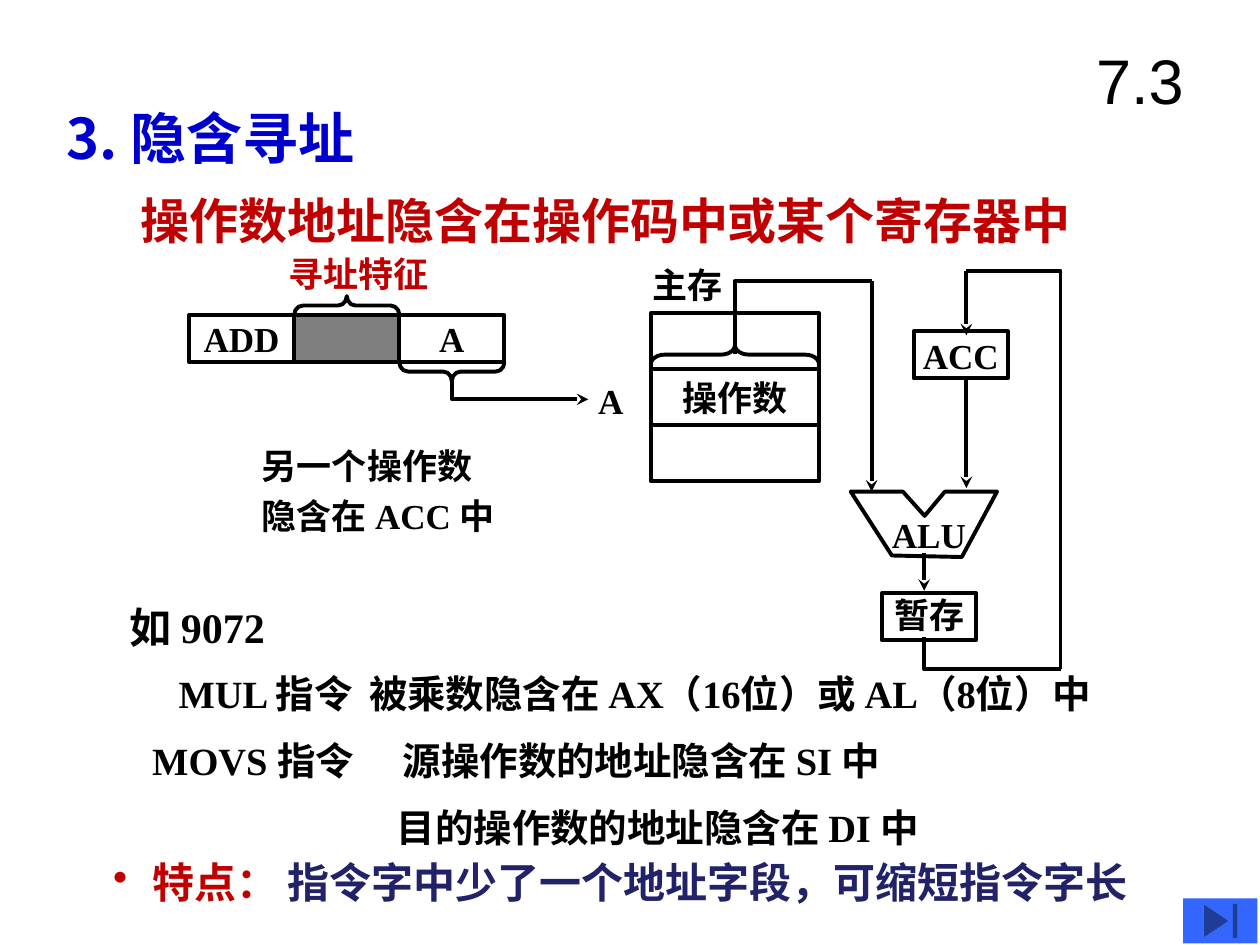
"""Build the implied addressing slide."""
from dataclasses import dataclass

from lxml import etree
from pptx import Presentation
from pptx.dml.color import RGBColor
from pptx.enum.shapes import MSO_CONNECTOR, MSO_SHAPE
from pptx.enum.text import MSO_ANCHOR, MSO_AUTO_SIZE, PP_ALIGN
from pptx.oxml.ns import qn
from pptx.util import Cm, Pt

RECT = MSO_SHAPE.RECTANGLE
BRACE = MSO_SHAPE.LEFT_BRACE
END_BUTTON = MSO_SHAPE.ACTION_BUTTON_END
STRAIGHT = MSO_CONNECTOR.STRAIGHT
MIDDLE = MSO_ANCHOR.MIDDLE
CENTER = PP_ALIGN.CENTER
FIT = MSO_AUTO_SIZE.SHAPE_TO_FIT_TEXT
FIXED = MSO_AUTO_SIZE.NONE
UP, DOWN = 90, 270


@dataclass(frozen=True)
class Theme:
    black: str = "000000"
    blue: str = "0000CC"
    red: str = "C00000"
    navy: str = "222268"
    button: str = "3366FF"
    serif: str = "Times New Roman"
    sans: str = "Arial"
    cjk: str = "Noto Sans CJK SC"
    number: int = 36
    title: int = 32
    subtitle: int = 28
    lead: int = 24
    body: int = 22
    label: int = 20
    line: float = 2.25


class Deck:
    """Holds the theme and the slide being drawn."""

    def __init__(self, theme, slide):
        self.t = theme
        self.shapes = slide.shapes

    def style_run(self, r, size, color=None, font=None, bold=True):
        r.font.size = Pt(size)
        r.font.bold = bold
        r.font.color.rgb = RGBColor.from_string(color or self.t.black)
        r.font.name = font or self.t.serif
        etree.SubElement(r.font._element, qn("a:ea"), typeface=self.t.cjk)

    def style_line(self, s, arrow=False):
        s.line.color.rgb = RGBColor.from_string(self.t.black)
        s.line.width = Pt(self.t.line)
        if arrow:
            etree.SubElement(s.line._get_or_add_ln(), qn("a:tailEnd"), type="stealth")

    def text(self, x, y, w, h, text, size, color=None, font=None, bold=True, wrap=False, spacing=None):
        s = self.shapes.add_textbox(Cm(x), Cm(y), Cm(w), Cm(h))
        tf = s.text_frame
        tf.text = text
        tf.word_wrap = wrap
        tf.auto_size = FIT
        for p in tf.paragraphs:
            if spacing:
                p.line_spacing = spacing
            for r in p.runs:
                self.style_run(r, size, color, font, bold)
        return s

    def bullet(self, x, y, w, h, parts, size, indent):
        s = self.shapes.add_textbox(Cm(x), Cm(y), Cm(w), Cm(h))
        tf = s.text_frame
        tf.word_wrap = True
        p = tf.paragraphs[0]
        pPr = p._p.get_or_add_pPr()
        pPr.set("marL", str(Cm(indent)))
        pPr.set("indent", str(-Cm(indent)))
        clr = etree.SubElement(pPr, qn("a:buClr"))
        etree.SubElement(clr, qn("a:srgbClr"), val=parts[0][1])
        etree.SubElement(pPr, qn("a:buChar"), char="•")
        for text, color, font in parts:
            r = p.add_run()
            r.text = text
            self.style_run(r, size, color, font)

    def box(self, x, y, w, h, text="", alpha=None, top=0.13):
        s = self.shapes.add_shape(RECT, Cm(x), Cm(y), Cm(w), Cm(h))
        s.shadow.inherit = False
        s.fill.background()
        if alpha:
            s.fill.solid()
            s.fill.fore_color.rgb = RGBColor.from_string(self.t.black)
            clr = s._element.spPr.find(qn("a:solidFill"))[0]
            etree.SubElement(clr, qn("a:alpha"), val=str(alpha * 1000))
        self.style_line(s)
        if text:
            tf = s.text_frame
            tf.text = text
            tf.word_wrap = False
            tf.margin_top = Cm(top)
            tf.vertical_anchor = MIDDLE
            p = tf.paragraphs[0]
            p.alignment = CENTER
            self.style_run(p.runs[0], self.t.label)

    def brace(self, x, y, length, rotation, depth=0.38):
        shift = (length - depth) / 2
        s = self.shapes.add_shape(BRACE, Cm(x + shift), Cm(y - shift), Cm(depth), Cm(length))
        s.rotation = rotation
        s.adjustments[0] = length / depth / 12
        s.shadow.inherit = False
        s.fill.background()
        self.style_line(s)

    def outline(self, points, close=False, arrow=False):
        pts = [(Cm(x), Cm(y)) for x, y in points]
        fb = self.shapes.build_freeform(*pts[0])
        fb.add_line_segments(pts[1:], close=close)
        s = fb.convert_to_shape()
        s.shadow.inherit = False
        s.fill.background()
        self.style_line(s, arrow)

    def arrow(self, x, y1, y2):
        s = self.shapes.add_connector(STRAIGHT, Cm(x), Cm(y1), Cm(x), Cm(y2))
        self.style_line(s, arrow=True)
        etree.SubElement(s._element.spPr, qn("a:effectLst"))

    def button(self, x, y, w, h):
        s = self.shapes.add_shape(END_BUTTON, Cm(x), Cm(y), Cm(w), Cm(h))
        s.shadow.inherit = False
        s.fill.solid()
        s.fill.fore_color.rgb = RGBColor.from_string(self.t.button)
        s.line.fill.background()


def main():
    prs = Presentation()
    prs.slide_width, prs.slide_height = Cm(25.4), Cm(19.05)
    t = Theme()
    d = Deck(t, prs.slides.add_slide(prs.slide_layouts[6]))

    d.text(1.09, 1.96, 7.1, 1.63, "3. 隐含寻址", t.title, t.blue, t.cjk)
    d.text(2.59, 3.71, 20.04, 1.45, "操作数地址隐含在操作码中或某个寄存器中", t.subtitle, t.red, wrap=True)

    field_x, field_w = 3.81, 2.12
    for i, (text, alpha) in enumerate([("ADD", None), ("", 50), ("A", None)]):
        d.box(field_x + i * field_w, 6.35, field_w, 0.95, text, alpha)
    mem_x, mem_w, mem_h = 13.12, 3.39, 1.13
    for i, text in enumerate(["", "操作数", ""]):
        d.box(mem_x, 6.31 + i * mem_h, mem_w, mem_h, text)
    d.text(12.9, 5.18, 2.05, 1.12, "主存", t.label)
    d.brace(field_x + field_w, 5.97, field_w, UP)
    d.text(5.56, 4.97, 3.33, 1.12, "寻址特征", t.label, t.red, wrap=True)
    d.brace(field_x + 2 * field_w, 7.3, field_w, DOWN)
    d.outline([(9.11, 7.68), (9.11, 8.05), (11.86, 8.05)], arrow=True)
    d.text(11.81, 7.52, 1.02, 1.12, "A", t.label, wrap=True)
    d.brace(mem_x, 6.96, mem_w, UP)

    d.box(18.42, 6.68, 1.9, 0.95, "ACC")
    d.box(17.78, 11.96, 1.9, 0.95, "暂存", top=0.05)
    d.outline([(17.15, 9.91), (18.2, 9.91), (18.64, 10.4), (19.05, 9.91),
               (20.1, 9.91), (19.39, 11.23), (17.98, 11.2)], close=True)
    d.text(17.73, 10.22, 2.1, 1.12, "ALU", t.label)
    d.outline([(14.82, 7.14), (14.82, 5.66), (17.57, 5.66)])
    d.outline([(18.63, 12.85), (18.63, 13.49), (21.38, 13.49)])
    d.outline([(21.38, 13.49), (21.38, 5.46), (19.48, 5.46)])
    for x, y1, y2 in [(18.63, 11.15, 11.91), (19.48, 7.62, 9.84),
                      (17.57, 5.66, 9.91), (19.48, 5.46, 6.76)]:
        d.arrow(x, y1, y2)

    d.text(5.03, 8.66, 7.04, 2.29, "另一个操作数\n隐含在 ACC 中", t.label, wrap=True, spacing=1.2)
    d.text(2.36, 12.01, 3.6, 1.27, "如 9072", t.lead)
    for x, row, w, text in [
        (3.35, 0, 4.4, "MUL 指令"),
        (7.19, 0, 16.7, "被乘数隐含在 AX（16位）或 AL（8位）中"),
        (2.82, 1, 4.9, "MOVS 指令"),
        (7.87, 1, 11.38, "源操作数的地址隐含在 SI 中"),
        (7.75, 2, 11.5, "目的操作数的地址隐含在 DI 中"),
    ]:
        d.text(x, 13.39 + row * 1.35, w, 1.19, text, t.body)
    d.bullet(2.03, 17.15, 21.34, 1.27, [
        ("特点： ", t.red, t.cjk),
        ("指令字中少了一个地址字段，可缩短指令字长", t.navy, t.serif),
    ], t.lead, indent=0.79)

    s = d.text(21.39, 0.43, 3.18, 2.34, "7.3", t.number, font=t.sans, bold=False, wrap=True)
    s.text_frame.auto_size = FIXED
    s.text_frame.vertical_anchor = MIDDLE
    s.text_frame.paragraphs[0].alignment = CENTER
    d.button(23.85, 18.11, 1.5, 0.91)
    prs.save("out.pptx")


if __name__ == "__main__":
    main()
